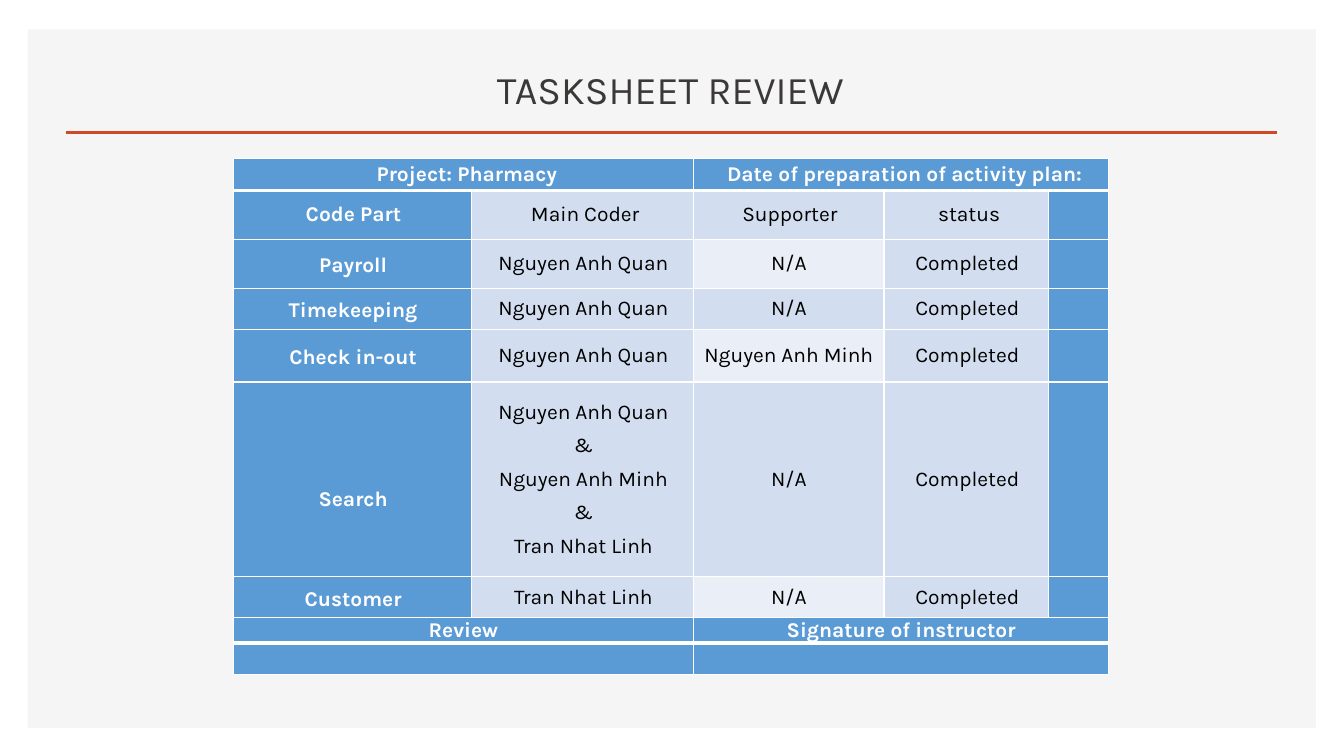
from lxml.etree import SubElement
from pptx import Presentation
from pptx.dml.color import RGBColor
from pptx.enum.shapes import MSO_CONNECTOR, MSO_SHAPE
from pptx.enum.text import MSO_ANCHOR, PP_ALIGN
from pptx.oxml.ns import qn
from pptx.util import Pt

FONT = "Karla"
WHITE, BLACK = "FFFFFF", "000000"
BLUE, BAND, LIGHT_BAND = "5B9BD5", "D2DEEF", "EAEFF7"
PANEL, RULE, TITLE = "F5F5F5", "D24726", "3B3838"

COLUMN_WIDTHS = [170, 159, 136, 117.5, 43]
ROW_HEIGHTS = [23, 35, 35, 29.5, 37.5, 139, 29.5, 17.5, 22.5]
TASKS = [
    ["Project: Pharmacy", "", "Date of preparation of activity plan:", "", ""],
    ["Code Part", "Main Coder", "Supporter", "status", ""],
    ["Payroll", "Nguyen Anh Quan", "N/A", "Completed", ""],
    ["Timekeeping", "Nguyen Anh Quan", "N/A", "Completed", ""],
    ["Check in-out", "Nguyen Anh Quan", "Nguyen Anh Minh", "Completed", ""],
    ["Search", "Nguyen Anh Quan\n&\nNguyen Anh Minh\n&\nTran Nhat Linh", "N/A", "Completed", ""],
    ["Customer", "Tran Nhat Linh", "N/A", "Completed", ""],
    ["Review", "", "Signature of instructor", "", ""],
    ["", "", "", "", ""],
]
HEADER, LABELS, SEARCH, REVIEW, SIGNATURE = 0, 1, 5, 7, 8
SPANNED_ROWS = (HEADER, REVIEW, SIGNATURE)


def color(hex_string):
    """Turn a hex string into a colour."""
    return RGBColor.from_string(hex_string)


def style_paragraph(paragraph, size, hex_string, bold=False):
    """Centre a paragraph and format its runs."""
    paragraph.alignment = PP_ALIGN.CENTER
    for run in paragraph.runs:
        run.font.name = FONT
        run.font.size = Pt(size)
        run.font.bold = bold
        run.font.color.rgb = color(hex_string)


def add_backdrop(slide, left, top, width, height):
    """Draw the grey panel and the rule under the title."""
    panel = slide.shapes.add_shape(MSO_SHAPE.RECTANGLE, Pt(left), Pt(top), Pt(width), Pt(height))
    panel.shadow.inherit = False
    panel.fill.solid()
    panel.fill.fore_color.rgb = color(PANEL)
    panel.line.fill.background()
    rule_y = Pt(top + 73.5)
    rule = slide.shapes.add_connector(
        MSO_CONNECTOR.STRAIGHT, Pt(left + 27.5), rule_y, Pt(left + width - 28), rule_y)
    rule.line.color.rgb = color(RULE)
    rule.line.width = Pt(2)
    SubElement(rule._element.spPr, qn("a:effectLst"))


def add_title(slide, left, top, width, height):
    """Write the slide title at the bottom of its box."""
    title = slide.shapes.add_textbox(Pt(left), Pt(top), Pt(width), Pt(height)).text_frame
    title.word_wrap = True
    title.vertical_anchor = MSO_ANCHOR.BOTTOM
    title.text = "TASKSHEET REVIEW"
    style_paragraph(title.paragraphs[0], 28, TITLE)


def set_borders(cell, row):
    """Give a cell white borders, thick below the header and above the signature row."""
    thick = {(HEADER, "B"), (LABELS, "T"), (REVIEW, "B"), (SIGNATURE, "T")}
    for side in "LRTB":
        width = Pt(3 if (row, side) in thick else 1)
        border = SubElement(cell._tc.get_or_add_tcPr(), qn(f"a:ln{side}"), w=str(width))
        SubElement(SubElement(border, qn("a:solidFill")), qn("a:srgbClr"), val=WHITE)


def left_inset(row, column):
    """Return the small left inset that shifts a centred text."""
    if row == HEADER:
        return 5
    if row == LABELS:
        return (2, 4, 1.5, 4, 0)[column]
    return 0 if row == REVIEW or column == 2 else 1.5


def fill_cell(cell, row, column, words):
    """Format one cell of the task table and write its words."""
    is_label = row in SPANNED_ROWS or column in (0, 4)
    is_light = column == 2 and row % 2 == 0
    set_borders(cell, row)
    cell.fill.solid()
    cell.fill.fore_color.rgb = color(BLUE if is_label else LIGHT_BAND if is_light else BAND)
    cell.vertical_anchor = MSO_ANCHOR.MIDDLE
    cell.margin_right = cell.margin_bottom = 0
    cell.margin_top = Pt(26.5 if (row, column) == (SEARCH, 0) else 0)
    cell.margin_left = Pt(left_inset(row, column))
    if not words:
        return
    cell.text_frame.text = words
    for index, paragraph in enumerate(cell.text_frame.paragraphs):
        style_paragraph(paragraph, 15, WHITE if is_label else BLACK, is_label)
        if index:
            paragraph.space_before = Pt(6.2)
        if column == 0 and LABELS < row < REVIEW:
            paragraph.line_spacing = 1.15


def add_task_table(slide, left, top):
    """Build the task table with its spanned header and review rows."""
    table = slide.shapes.add_table(
        len(ROW_HEIGHTS), len(COLUMN_WIDTHS), Pt(left), Pt(top),
        Pt(sum(COLUMN_WIDTHS)), Pt(sum(ROW_HEIGHTS))).table
    table.first_row = table.horz_banding = False
    for column, width in zip(table.columns, COLUMN_WIDTHS):
        column.width = Pt(width)
    for row, height in zip(table.rows, ROW_HEIGHTS):
        row.height = Pt(height)
    for row, entries in enumerate(TASKS):
        for column, words in enumerate(entries):
            fill_cell(table.cell(row, column), row, column, words)
    for row in SPANNED_ROWS:
        table.cell(row, 0).merge(table.cell(row, 1))
        table.cell(row, 2).merge(table.cell(row, 4))


def main():
    """Build the task sheet review slide and save it."""
    deck = Presentation()
    deck.slide_width, deck.slide_height = Pt(960), Pt(540)
    slide = deck.slides.add_slide(deck.slide_layouts[6])
    add_backdrop(slide, 20, 21, 920, 499)
    add_title(slide, 208, 33, 541.5, 50.5)
    add_task_table(slide, 166.5, 113)
    deck.save("out.pptx")


if __name__ == "__main__":
    main()
